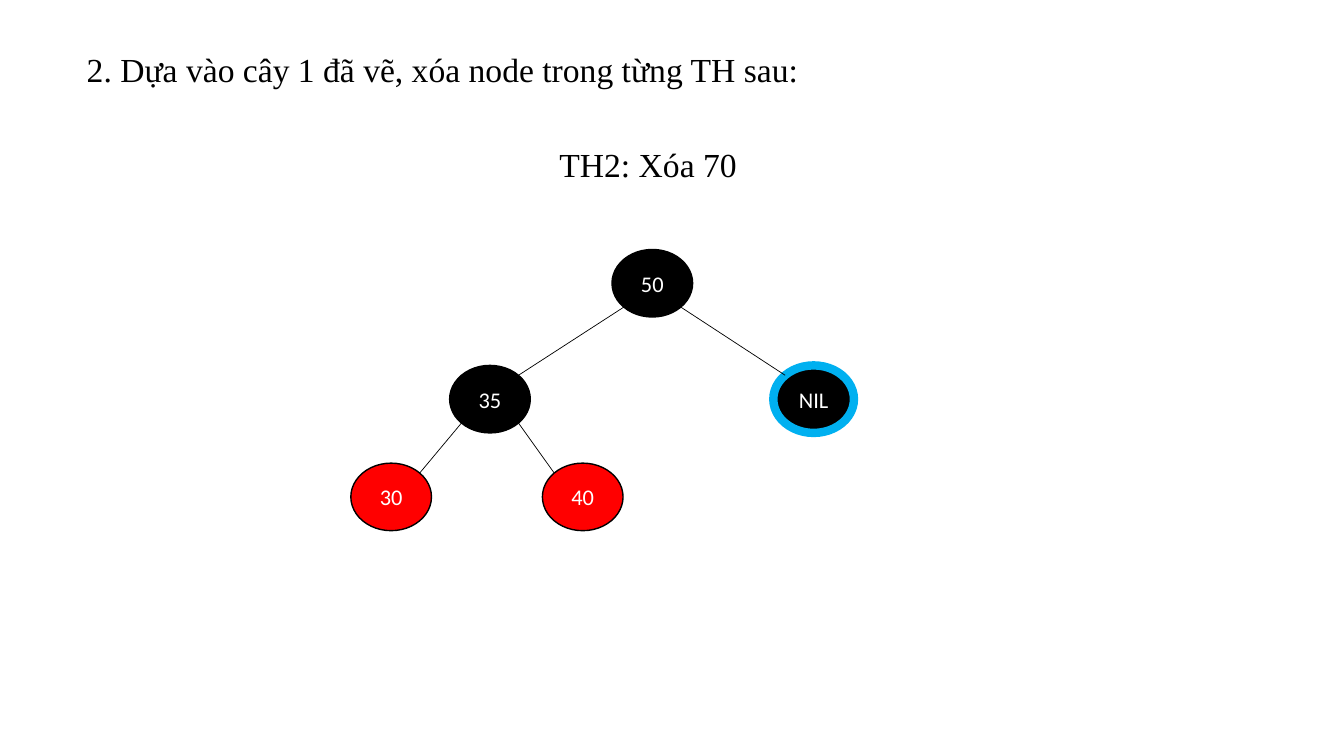
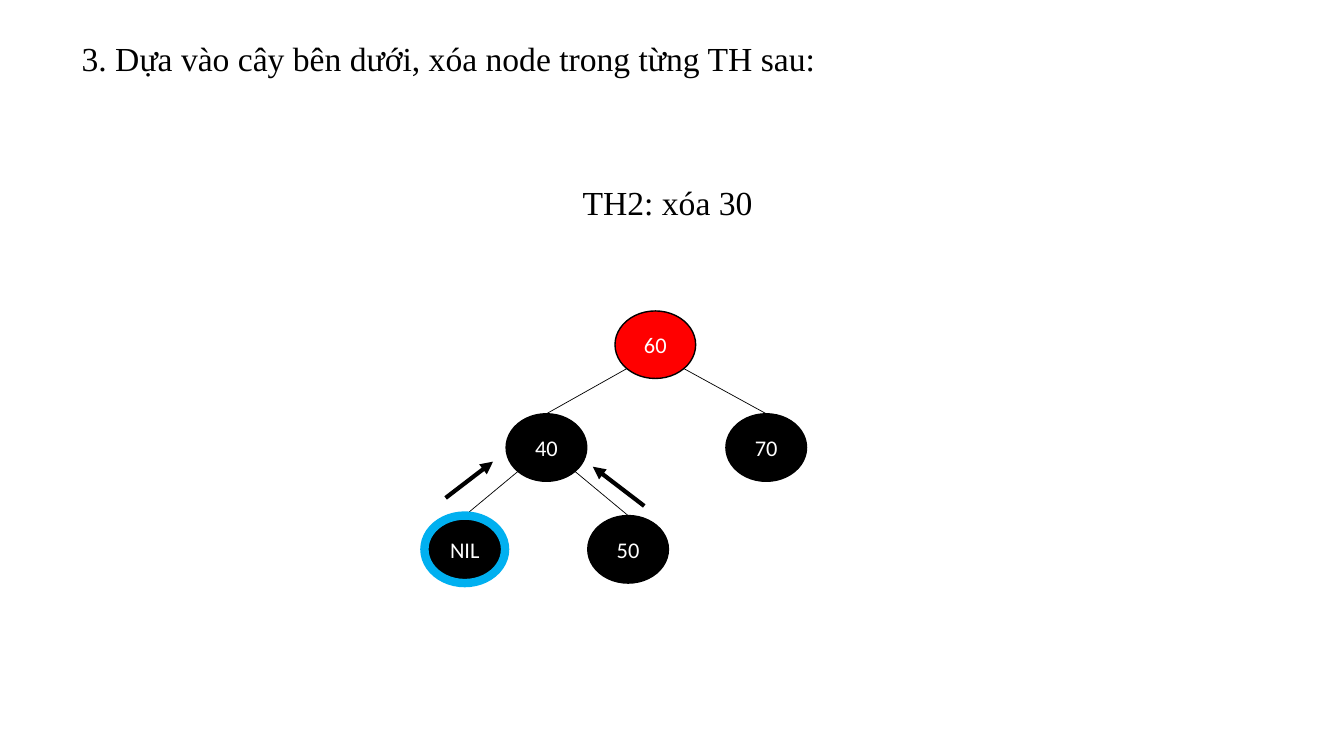
from math import sqrt

from lxml.etree import SubElement
from pptx import Presentation
from pptx.dml.color import RGBColor
from pptx.enum.shapes import MSO_CONNECTOR as Link, MSO_SHAPE as Preset
from pptx.enum.text import MSO_ANCHOR as Anchor, MSO_AUTO_SIZE as Fit, PP_ALIGN as Align
from pptx.oxml.ns import qn
from pptx.util import Inches, Pt

COLORS = {"black": "000000", "red": "FF0000", "white": "FFFFFF", "highlight": "00B0F0"}


class TreeDeck:
    cell = 0.1
    node_width, node_height = 8, 6.7
    serif, sans = "Times New Roman", "Calibri"

    def __init__(self):
        self.deck = Presentation()
        self.deck.slide_width = Inches(13.33)
        self.deck.slide_height = Inches(7.5)
        self.slide = None

    def grid(self, *cells):
        return [Inches(count * self.cell) for count in cells]

    def color(self, name):
        return RGBColor.from_string(COLORS[name])

    def add_text(self, paragraph, text, font, size, color):
        run = paragraph.add_run()
        run.text = text
        run.font.name = font
        run.font.size = Pt(size)
        run.font.color.rgb = self.color(color)

    def heading(self, holder, text):
        frame = holder.text_frame
        frame.word_wrap = True
        frame.auto_size = Fit.SHAPE_TO_FIT_TEXT
        frame.vertical_anchor = Anchor.TOP
        paragraph = frame.paragraphs[0]
        paragraph.alignment = Align.LEFT
        paragraph.line_spacing = 1.07
        self.add_text(paragraph, text, self.serif, 24, "black")

    def new_slide(self, text, column, row, width):
        self.slide = self.deck.slides.add_slide(self.deck.slide_layouts[5])
        title = self.slide.shapes.title
        title.left, title.top, title.width, title.height = self.grid(column, row, width, 5)
        self.heading(title, text)

    def case(self, text, column, row):
        self.heading(self.slide.shapes.add_textbox(*self.grid(column, row, 66.6, 5.1)), text)

    def node(self, label, center, row, fill, highlighted=False):
        left, top = center - self.node_width / 2, row - self.node_height / 2
        ellipse = self.slide.shapes.add_shape(
            Preset.OVAL, *self.grid(left, top, self.node_width, self.node_height))
        ellipse.shadow.inherit = False
        ellipse.fill.solid()
        ellipse.fill.fore_color.rgb = self.color(fill)
        ellipse.line.color.rgb = self.color("highlight" if highlighted else "black")
        ellipse.line.width = Pt(6 if highlighted else 1)
        ellipse.text_frame.vertical_anchor = Anchor.MIDDLE
        paragraph = ellipse.text_frame.paragraphs[0]
        paragraph.alignment = Align.CENTER
        self.add_text(paragraph, label, self.sans, 16, "white")

    def line(self, start, end, width=0.5, arrow=False):
        connector = self.slide.shapes.add_connector(Link.STRAIGHT, *self.grid(*start, *end))
        connector.line.color.rgb = self.color("black")
        connector.line.width = Pt(width)
        properties = connector._element.spPr
        if arrow:
            SubElement(properties.find(qn("a:ln")), qn("a:tailEnd"), type="triangle")
        SubElement(properties, qn("a:effectLst"))

    def nodes(self, tree):
        for label, details in tree.items():
            self.node(label, *details)

    def edges(self, tree, branches, to_top=False):
        reach_x = self.node_width / 2 / sqrt(2)
        reach_y = self.node_height / 2 / sqrt(2)
        for parent, child in branches:
            (parent_x, parent_y), (child_x, child_y) = tree[parent][:2], tree[child][:2]
            side = 1 if child_x > parent_x else -1
            start = parent_x + side * reach_x, parent_y + reach_y
            if to_top:
                end = child_x, child_y - self.node_height / 2
            else:
                end = child_x - side * reach_x, child_y - reach_y
            self.line(start, end)


deck = TreeDeck()

deck.new_slide("2. Dựa vào cây 1 đã vẽ, xóa node trong từng TH sau:", 7.6, 4.1, 98.3)
deck.case("TH2: Xóa 70", 54.5, 13.5)
after_70 = {
    "50": (64.7, 28.1, "black"),
    "35": (48.6, 39.6, "black"),
    "NIL": (80.7, 39.6, "black", True),
    "30": (38.8, 49.3, "red"),
    "40": (57.8, 49.3, "red"),
}
deck.nodes(after_70)
deck.edges(after_70, [("50", "35"), ("50", "NIL"), ("35", "30"), ("35", "40")])

deck.new_slide("3. Dựa vào cây bên dưới, xóa node trong từng TH sau:", 7.1, 3, 88.8)
deck.case("TH2: xóa 30", 56.8, 17.3)
after_30 = {
    "60": (65, 34.2, "red"),
    "40": (54.2, 44.4, "black"),
    "70": (76, 44.4, "black"),
    "NIL": (46.1, 54.5, "black", True),
    "50": (62.3, 54.5, "black"),
}
deck.edges(after_30, [("60", "40"), ("60", "70"), ("40", "NIL"), ("40", "50")], to_top=True)
deck.nodes(after_30)
for start, end in [((44.2, 49.4), (48.9, 45.8)), ((63.9, 50.2), (58.8, 46.3))]:
    deck.line(start, end, width=3, arrow=True)

deck.deck.save("out.pptx")
